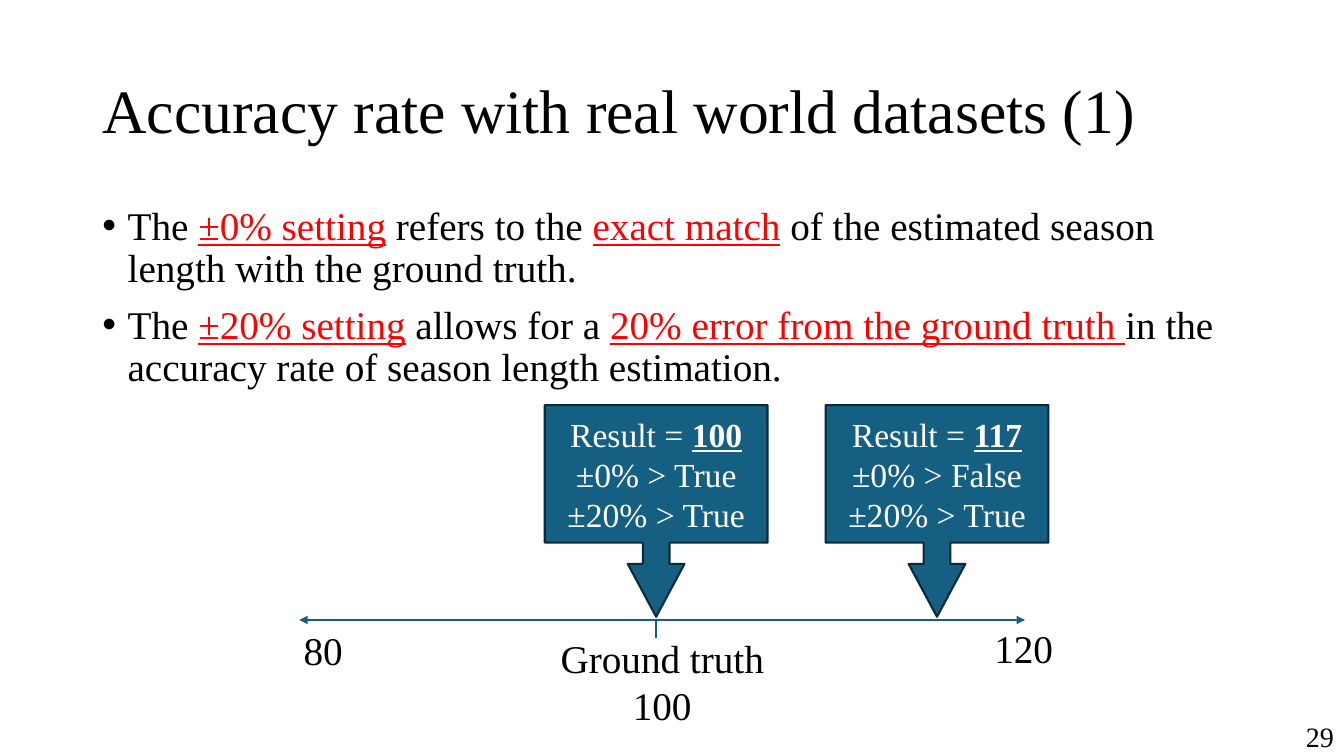
from dataclasses import dataclass

from lxml import etree
from pptx import Presentation
from pptx.dml.color import RGBColor
from pptx.enum.shapes import MSO_CONNECTOR, MSO_SHAPE
from pptx.enum.text import MSO_ANCHOR, MSO_AUTO_SIZE, PP_ALIGN
from pptx.oxml.ns import qn
from pptx.util import Pt

LEFT, CENTER, RIGHT = PP_ALIGN.LEFT, PP_ALIGN.CENTER, PP_ALIGN.RIGHT
TOP, MIDDLE = MSO_ANCHOR.TOP, MSO_ANCHOR.MIDDLE
NO_FIT = MSO_AUTO_SIZE.NONE
STRAIGHT = MSO_CONNECTOR.STRAIGHT
DOWN_ARROW_CALLOUT = MSO_SHAPE.DOWN_ARROW_CALLOUT


@dataclass(frozen=True)
class Theme:
    font: str = "Times New Roman"
    text: RGBColor = RGBColor(0x00, 0x00, 0x00)
    light_text: RGBColor = RGBColor(0xFF, 0xFF, 0xFF)
    highlight: RGBColor = RGBColor(0xFF, 0x00, 0x00)
    accent: RGBColor = RGBColor(0x15, 0x60, 0x82)
    outline: RGBColor = RGBColor(0x09, 0x2A, 0x39)
    title_size: Pt = Pt(44)
    body_size: Pt = Pt(28)
    callout_size: Pt = Pt(24)
    number_size: Pt = Pt(20)
    line_width: Pt = Pt(1.5)


THEME = Theme()
HIGHLIGHT = {"color": THEME.highlight, "underline": True}
STRONG = {"bold": True, "underline": True}

TITLE = "Accuracy rate with real world datasets (1)"
SETTINGS = [
    [("The ", {}), ("±0% setting", HIGHLIGHT), (" refers to the ", {}),
     ("exact match", HIGHLIGHT),
     (" of the estimated season length with the ground truth.", {})],
    [("The ", {}), ("±20% setting", HIGHLIGHT), (" allows for a ", {}),
     ("20% error from the ground truth ", HIGHLIGHT),
     ("in the accuracy rate of season length estimation.", {})],
]
AXIS_Y = 442.8
TRUTH_X = 468.7
CALLOUT_WIDTH, CALLOUT_HEIGHT = 159.1, 151.2
CALLOUT_TOP = 289.4
CALLOUTS = [  # arrow tip x, result, ±0% verdict, ±20% verdict
    (TRUTH_X, "100", "True", "True"),
    (669.3, "117", "False", "True"),
]
AXIS_LABELS = [  # box, lines
    ((392.4, 449.3, 161.3, 74.9), ["Ground truth", "100"]),
    ((209.5, 444.2, 42.5, 41), ["80"]),
    ((702.7, 442.1, 56.9, 41), ["120"]),
]


def set_attributes(target, values):
    for name, value in values.items():
        setattr(target, name, value)


def place(shape, left, top, width, height):
    set_attributes(shape, {"left": Pt(left), "top": Pt(top),
                           "width": Pt(width), "height": Pt(height)})


def add_run(paragraph, text, size, color, **font_values):
    run = paragraph.add_run()
    run.text = text
    run.font.color.rgb = color
    set_attributes(run.font, {"name": THEME.font, "size": size, **font_values})


def write_paragraphs(frame, paragraphs, size, color=THEME.text, **paragraph_values):
    """Fill a frame; each paragraph is a list of (text, format values) runs."""
    for index, runs in enumerate(paragraphs):
        paragraph = frame.add_paragraph() if index else frame.paragraphs[0]
        set_attributes(paragraph, paragraph_values)
        if index == 0:
            paragraph.space_before = Pt(0)
        for text, values in runs:
            add_run(paragraph, text, size, **{"color": color, **values})


def add_bullet(paragraph, indent):
    properties = paragraph._p.get_or_add_pPr()
    properties.set("marL", str(Pt(indent)))
    properties.set("indent", str(Pt(-indent)))
    etree.SubElement(properties, qn("a:buFont")).set("typeface", "Arial")
    etree.SubElement(properties, qn("a:buChar")).set("char", "•")


def fill_title(slide):
    title = slide.shapes.title
    place(title, 66, 28.8, 828, 104.4)
    set_attributes(title.text_frame, {"auto_size": NO_FIT, "vertical_anchor": MIDDLE})
    write_paragraphs(title.text_frame, [[(TITLE, {})]], THEME.title_size,
                     alignment=LEFT, line_spacing=0.9)


def fill_body(slide):
    body = slide.placeholders[1]
    place(body, 66, 144, 828, 342.7)
    set_attributes(body.text_frame, {"auto_size": NO_FIT, "vertical_anchor": TOP})
    write_paragraphs(body.text_frame, SETTINGS, THEME.body_size,
                     alignment=LEFT, line_spacing=0.9, space_before=Pt(10))
    for paragraph in body.text_frame.paragraphs:
        add_bullet(paragraph, 18)


def add_label(slide, box, lines, size, alignment=CENTER, **frame_values):
    label = slide.shapes.add_textbox(*map(Pt, box))
    set_attributes(label.text_frame, {"word_wrap": False, **frame_values})
    write_paragraphs(label.text_frame, [[(line, {})] for line in lines], size,
                     alignment=alignment)


def add_line(slide, start, end, arrows=False):
    connector = slide.shapes.add_connector(STRAIGHT, *map(Pt, (*start, *end)))
    connector.line.color.rgb = THEME.accent
    connector.line.width = THEME.line_width
    if arrows:
        line = connector.line._get_or_add_ln()
        for tag in ("a:headEnd", "a:tailEnd"):
            etree.SubElement(line, qn(tag)).set("type", "triangle")
    etree.SubElement(connector._element.spPr, qn("a:effectLst"))


def add_callout(slide, tip_x, result, exact, tolerant):
    callout = slide.shapes.add_shape(
        DOWN_ARROW_CALLOUT, Pt(tip_x - CALLOUT_WIDTH / 2), Pt(CALLOUT_TOP),
        Pt(CALLOUT_WIDTH), Pt(CALLOUT_HEIGHT))
    for index, value in enumerate((0.126, 0.134, 0.25, 0.65)):
        callout.adjustments[index] = value
    callout.shadow.inherit = False
    callout.fill.solid()
    callout.fill.fore_color.rgb = THEME.accent
    callout.line.color.rgb = THEME.outline
    callout.line.width = THEME.line_width
    set_attributes(callout.text_frame, {"word_wrap": True, "vertical_anchor": MIDDLE})
    lines = [[("Result = ", {}), (result, STRONG)],
             [(f"±0% > {exact}", {})],
             [(f"±20% > {tolerant}", {})]]
    write_paragraphs(callout.text_frame, lines, THEME.callout_size,
                     THEME.light_text, alignment=CENTER)


def main():
    presentation = Presentation()
    presentation.slide_width, presentation.slide_height = Pt(960), Pt(540)
    slide = presentation.slides.add_slide(presentation.slide_layouts[1])
    fill_title(slide)
    fill_body(slide)
    add_line(slide, (213.8, AXIS_Y), (732.2, AXIS_Y), arrows=True)
    for box, lines in AXIS_LABELS:
        add_label(slide, box, lines, THEME.body_size)
    add_line(slide, (TRUTH_X, AXIS_Y + 13), (TRUTH_X, AXIS_Y))
    for callout in CALLOUTS:
        add_callout(slide, *callout)
    add_label(slide, (825.4, 511.2, 134.6, 28.8), ["29"], THEME.number_size,
              RIGHT, word_wrap=True, vertical_anchor=MIDDLE)
    presentation.save("out.pptx")


if __name__ == "__main__":
    main()
